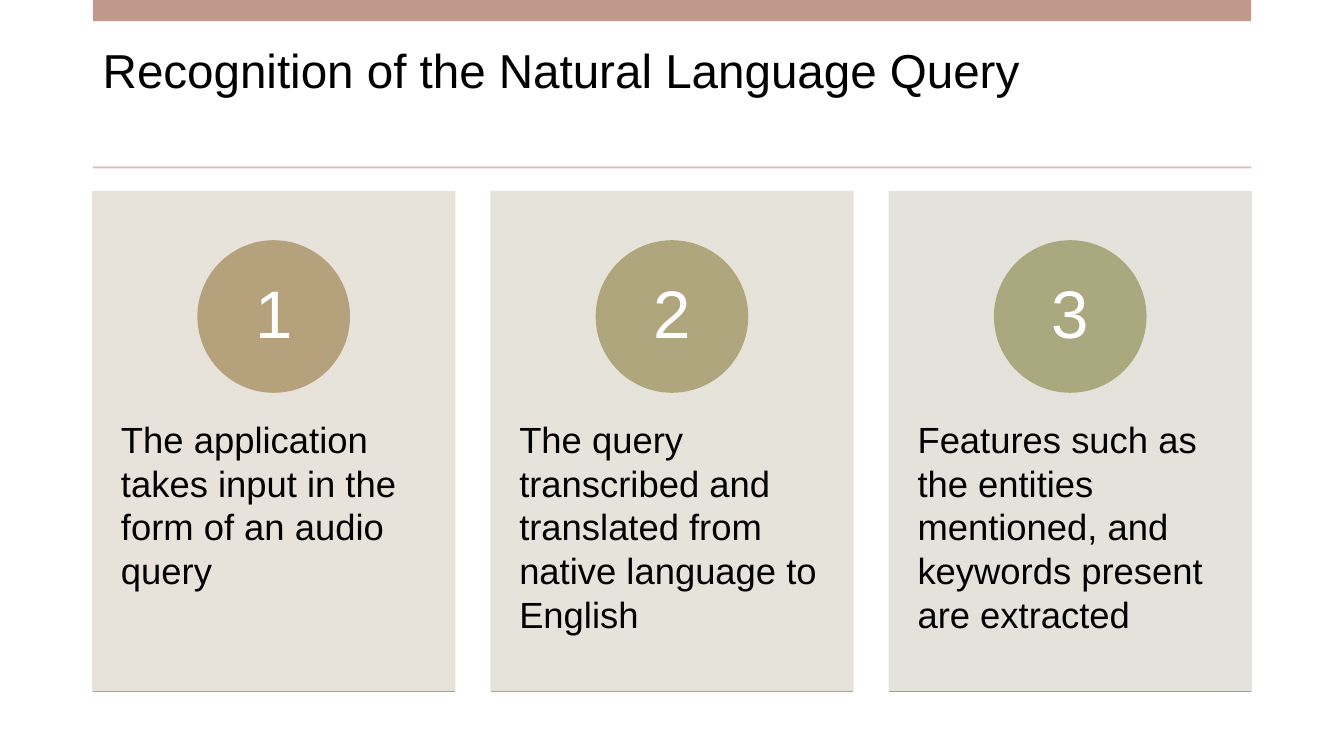
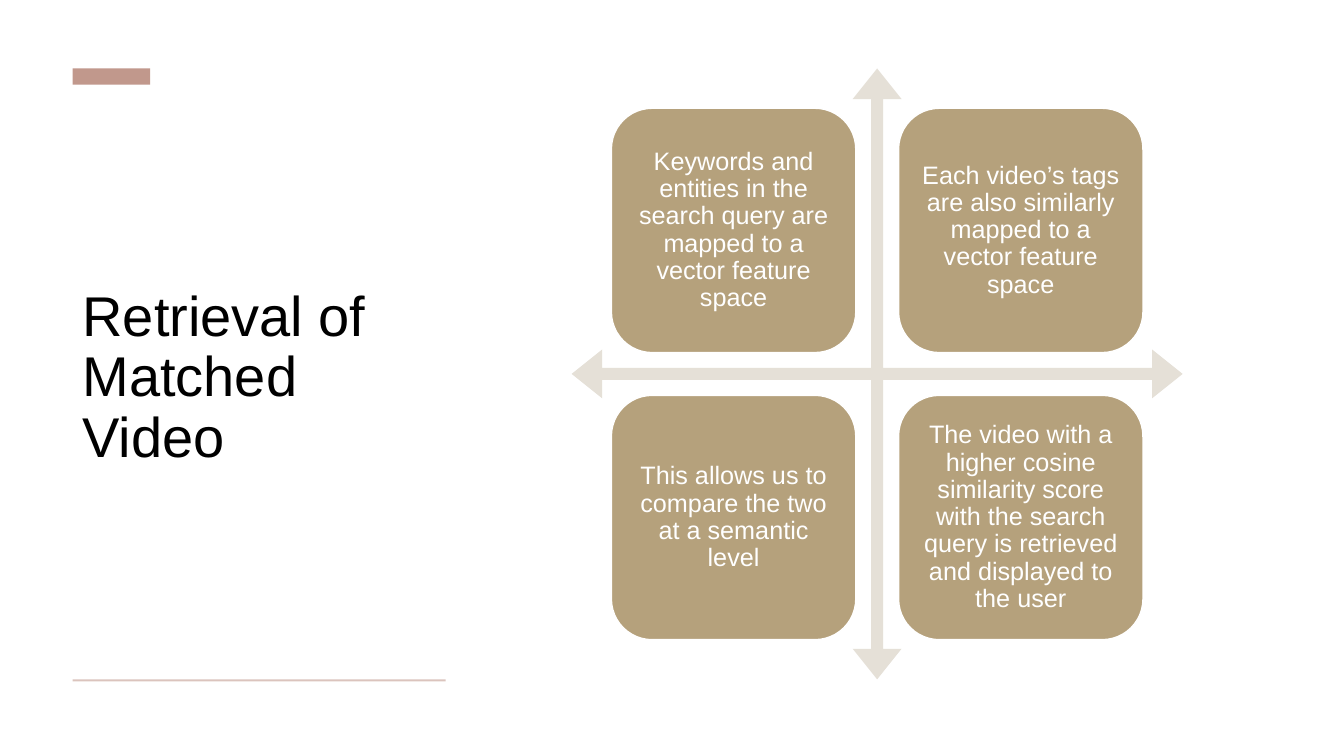
from dataclasses import dataclass
from lxml import etree
from pptx import Presentation
from pptx import util as u
from pptx.dml.color import RGBColor
from pptx.enum import shapes, text
from pptx.oxml.ns import qn

QUERY_TITLE = "Recognition of the Natural Language Query"
QUERY_STEPS = [
    ("The application takes input in the form of an audio query",
     {"card": "E5E0D7", "circle": "B5A17C", "base": "B2A47C"}),
    ("The query transcribed and translated from native language to English",
     {"card": "E3E1D7", "circle": "AFA67D", "base": "ACA77D"}),
    ("Features such as the entities mentioned, and keywords present are extracted",
     {"card": "E0E1D8", "circle": "A9A87E", "base": "A4A67E"}),
]
RETRIEVAL_TITLE = "Retrieval of Matched Video"
RETRIEVAL_GRID = [
    ["Keywords and entities in the search query are mapped to a vector feature space",
     "Each video’s tags are also similarly mapped to a vector feature space"],
    ["This allows us to compare the two at a semantic level",
     "The video with a higher cosine similarity score with the search query "
     "is retrieved and displayed to the user"],
]


@dataclass(frozen=True)
class Theme:
    font: str = "Arial"
    ink: str = "000000"
    paper: str = "FFFFFF"
    accent: str = "C1988C"
    rule: str = "DBC4BD"
    arrow: str = "E5E0D7"
    tile: str = "B5A17C"
    wide_title: int = 34
    side_title: int = 40
    card_text: int = 26
    number: int = 48
    tile_text: int = 18
    tight: float = 0.9


theme = Theme()
SHAPE = shapes.MSO_SHAPE
ANCHOR = text.MSO_ANCHOR
ALIGN = text.PP_ALIGN
CENTRED = {"align": ALIGN.CENTER, "anchor": ANCHOR.MIDDLE,
           "spacing": theme.tight, "color": theme.paper}

deck = Presentation()
deck.slide_width, deck.slide_height = u.Inches(13.33), u.Inches(7.5)


def inches(*lengths):
    return [u.Inches(length) for length in lengths]


def new_page():
    page = deck.slides.add_slide(deck.slide_layouts[6])
    page.background.fill.solid()
    page.background.fill.fore_color.rgb = RGBColor.from_string(theme.paper)
    return page


def write(box, words, size, color=theme.ink, align=ALIGN.LEFT,
          anchor=ANCHOR.TOP, spacing=1.0, insets=(0.1, 0.05, 0.1, 0.05)):
    frame = box.text_frame
    left, top, right, bottom = inches(*insets)
    layout = {"word_wrap": True, "vertical_anchor": anchor,
              "margin_left": left, "margin_top": top,
              "margin_right": right, "margin_bottom": bottom}
    for name, value in layout.items():
        setattr(frame, name, value)
    para = frame.paragraphs[0]
    para.alignment, para.line_spacing = align, spacing
    span = para.add_run()
    span.text = words
    for name, value in {"name": theme.font, "size": u.Pt(size)}.items():
        setattr(span.font, name, value)
    span.font.color.rgb = RGBColor.from_string(color)


def draw(page, kind, place, fill, line=None, opacity=100):
    shape = page.shapes.add_shape(kind, *inches(*place))
    shape.shadow.inherit = False
    shape.fill.solid()
    shape.fill.fore_color.rgb = RGBColor.from_string(fill)
    if line:
        shape.line.color.rgb = RGBColor.from_string(line)
        shape.line.width = u.Pt(1)
    else:
        shape.line.fill.background()
    if opacity < 100:
        for color in shape.element.spPr.iter(qn("a:srgbClr")):
            etree.SubElement(color, qn("a:alpha"), val=str(opacity * 1000))
    return shape


def draw_line(page, left, top, width, color):
    line = page.shapes.add_connector(
        shapes.MSO_CONNECTOR.STRAIGHT, *inches(left, top, left + width, top))
    line.line.color.rgb = RGBColor.from_string(color)
    line.line.width = u.Pt(1)
    etree.SubElement(line.element.spPr, qn("a:effectLst"))


def add_heading(page, words, place, size, anchor, bar, rule_top):
    box = page.shapes.add_textbox(*inches(*place))
    write(box, words, size, anchor=anchor, spacing=theme.tight,
          insets=(0.1, 0.1, 0.1, 0.1))
    left, _, width, _ = place
    draw(page, SHAPE.RECTANGLE, bar, theme.accent)
    draw(page, SHAPE.RECTANGLE, (left, rule_top, width, 0.02), theme.rule)


def build_query_page():
    left, width, top, height = 0.92, 11.49, 1.9, 4.96
    card, circle, circle_drop, text_drop = 3.59, 1.5, 0.49, 2.24
    pitch = (width - card) / (len(QUERY_STEPS) - 1)
    page = new_page()
    add_heading(page, QUERY_TITLE, (left, 0.37, width, 1.18), theme.wide_title,
                ANCHOR.TOP, (left, 0, width, 0.21), 1.65)
    for index, (words, colors) in enumerate(QUERY_STEPS):
        x = left + index * pitch
        panel = draw(page, SHAPE.RECTANGLE, (x, top, card, height),
                     colors["card"], colors["card"], opacity=90)
        write(panel, words, theme.card_text,
              insets=(0.28, text_drop, 0.28, 0.36))
        badge = draw(page, SHAPE.OVAL,
                     (x + (card - circle) / 2, top + circle_drop, circle, circle),
                     colors["circle"], colors["circle"])
        write(badge, str(index + 1), theme.number,
              insets=(0.12, 0.01, 0.12, 0.01), **CENTRED)
        draw_line(page, x, top + height, card, colors["base"])


def build_retrieval_page():
    left, width = 0.72, 3.7
    cross_left, cross_top, cross = 5.67, 0.68, 6.06
    tile, pitch = 0.4 * cross, 0.47 * cross
    margin = (cross - tile - pitch) / 2
    page = new_page()
    add_heading(page, RETRIEVAL_TITLE, (left, 1.05, width, 5.41),
                theme.side_title, ANCHOR.MIDDLE, (left, 0.68, 0.77, 0.16), 6.74)
    arrows = draw(page, SHAPE.QUAD_ARROW,
                  (cross_left, cross_top, cross, cross), theme.arrow)
    for index, share in enumerate((0.02, 0.04, 0.05)):
        arrows.adjustments[index] = share
    for row, line in enumerate(RETRIEVAL_GRID):
        for column, words in enumerate(line):
            place = (cross_left + margin + column * pitch,
                     cross_top + margin + row * pitch, tile, tile)
            box = draw(page, SHAPE.ROUNDED_RECTANGLE, place,
                       theme.tile, theme.paper)
            write(box, words, theme.tile_text, insets=(0.07,) * 4, **CENTRED)


build_query_page()
build_retrieval_page()
deck.save("out.pptx")
